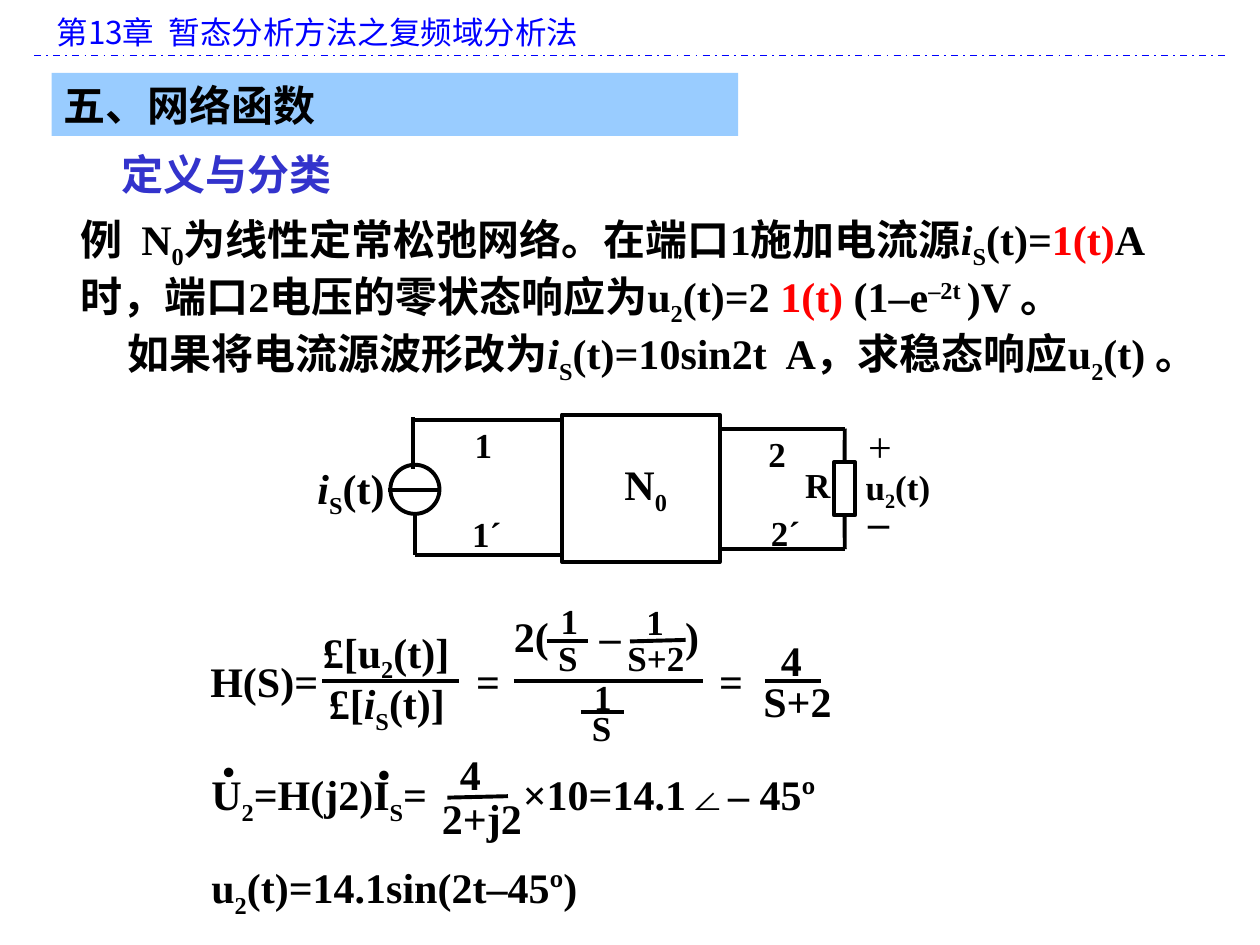
import pptx
import pptx.util
import pptx.dml.color
import pptx.enum.dml
import pptx.enum.shapes
import pptx.enum.text
import pptx.oxml.ns
import lxml.etree

Cm = pptx.util.Cm
Pt = pptx.util.Pt
qn = pptx.oxml.ns.qn
RGB = pptx.dml.color.RGBColor.from_string
SHAPE = pptx.enum.shapes.MSO_SHAPE
C = {"black": "000000", "blue": "0000FF", "indigo": "3333CC",
     "red": "FF0000", "band": "99CCFF"}
TIMES = "Times New Roman"
SANS = "Noto Sans CJK SC"
STYLES = {
    "": {},
    "sub": {"baseline": "-25000"},
    "sup": {"baseline": "30000"},
    "i": {"italic": True},
    "plain": {"bold": False},
    "red": {"color": "red"},
    "topic": {"color": "indigo"},
    "chapter": {"color": "blue", "bold": False, "name": SANS},
}


def write(p, runs, size):
    for text, style in runs:
        fmt = {"name": TIMES, "size": Pt(size), "bold": True, "italic": False,
               "color": "black", "baseline": "0", **STYLES[style]}
        r = p.add_run()
        r.text = text
        r.font.color.rgb = RGB(C[fmt.pop("color")])
        rPr = r._r.get_or_add_rPr()
        rPr.set("baseline", fmt.pop("baseline"))
        for key, value in fmt.items():
            setattr(r.font, key, value)
        lxml.etree.SubElement(rPr, qn("a:ea")).set("typeface", SANS)


def line(x1, y1, x2, y2, color="black", width=2.25):
    c = s.shapes.add_connector(pptx.enum.shapes.MSO_CONNECTOR.STRAIGHT,
                               Cm(x1), Cm(y1), Cm(x2), Cm(y2))
    c.line.color.rgb = RGB(C[color])
    c.line.width = Pt(width)
    lxml.etree.SubElement(c._element.spPr, qn("a:effectLst"))
    return c


prs = pptx.Presentation()
prs.slide_width, prs.slide_height = Cm(25.4), Cm(19.05)
s = prs.slides.add_slide(prs.slide_layouts[6])

rule = line(0.69, 1.12, 24.69, 1.12, "blue", 1)
rule.line.dash_style = pptx.enum.dml.MSO_LINE.DASH_DOT

boxes = {}
for name, kind, x, y, w, h in [
    ("heading", SHAPE.RECTANGLE, 1.04, 1.47, 13.84, 1.27),
    ("network", SHAPE.RECTANGLE, 11.33, 8.36, 3.18, 2.97),
    ("source", SHAPE.OVAL, 7.87, 9.37, 0.99, 0.99),
    ("resistor", SHAPE.RECTANGLE, 16.81, 9.32, 0.43, 1.07),
]:
    sp = s.shapes.add_shape(kind, Cm(x), Cm(y), Cm(w), Cm(h))
    sp.shadow.inherit = False
    sp.fill.background()
    sp.line.color.rgb = RGB(C["black"])
    sp.line.width = Pt(2.25)
    boxes[name] = sp

heading = boxes["heading"]
heading.fill.solid()
heading.fill.fore_color.rgb = RGB(C["band"])
heading.line.fill.background()
p = heading.text_frame.paragraphs[0]
p.alignment = pptx.enum.text.PP_ALIGN.LEFT
write(p, [("五、网络函数", "")], 24)

for x1, y1, x2, y2 in [
    (7.82, 9.88, 8.89, 9.88),
    (8.33, 8.41, 8.33, 9.45),
    (8.36, 11.18, 8.36, 10.34),
    (8.36, 8.46, 11.33, 8.46),
    (8.36, 11.18, 11.33, 11.18),
    (14.5, 8.64, 17.03, 8.64),
    (14.5, 11.07, 17.03, 11.07),
    (6.5, 13.72, 9.25, 13.72),
    (10.36, 13.72, 14.17, 13.72),
    (15.42, 13.72, 16.56, 13.72),
    (11.02, 12.93, 11.86, 12.93),
    (12.7, 12.93, 13.82, 12.9),
    (11.71, 14.35, 12.57, 14.35),
    (9.02, 16.08, 10.24, 16.05),
]:
    line(x1, y1, x2, y2)

for y, end, site in [(8.64, 9.32, 0), (11.07, 10.39, 2)]:
    line(17.03, y, 17.03, end).end_connect(boxes["resistor"], site)

problem = [
    [("例  N", ""), ("0", "sub"), ("为线性定常松弛网络。在端口1施加电流源", ""),
     ("i", "i"), ("S", "sub"), ("(t)=", ""), ("1(t)", "red"), ("A", "")],
    [("时，端口2电压的零状态响应为u", ""), ("2", "sub"), ("(t)=2 ", ""),
     ("1(t)", "red"), (" (1–e", ""), ("–2t ", "sup"), (")V 。", "")],
    [("如果将电流源波形改为", ""), ("i", "i"), ("S", "sub"),
     ("(t)=10sin2t  A，求稳态响应u", ""), ("2", "sub"), ("(t) 。", "")],
]
u2 = [("u", ""), ("2", "sub"), ("(t)", "")]
i_s = [("i", "i"), ("S", "sub"), ("(t)", "")]

for x, y, w, size, paragraphs in [
    (0.89, 0.13, 23.8, 18, [[("第13章  暂态分析方法之复频域分析法", "chapter")]]),
    (2.21, 2.87, 8.08, 24, [[("定义与分类", "topic")]]),
    (1.37, 4.17, 24, 24, problem),
    (17.25, 8.36, 1, 24, [[("+", "plain")]]),
    (17.25, 9.86, 1, 24, [[("–", "")]]),
    (6.15, 9.19, 2.2, 24, [i_s]),
    (12.34, 9.12, 1.6, 24, [[("N", ""), ("0", "sub")]]),
    (15.98, 9.22, 1.02, 20, [[("R", "")]]),
    (17.2, 9.25, 3, 20, [u2]),
    (9.32, 8.41, 1.52, 20, [[("1", "")]]),
    (9.27, 10.21, 1.52, 20, [[("1´", "")]]),
    (15.24, 8.59, 1.52, 20, [[("2", "")]]),
    (15.29, 10.19, 1.52, 20, [[("2´", "")]]),
    (3.99, 13.08, 3, 24, [[("H(S)=", "")]]),
    (9.35, 13.08, 1, 24, [[("=", "")]]),
    (14.25, 13.08, 1, 24, [[("=", "")]]),
    (6.26, 12.5, 4, 24, [[("£[", "")] + u2 + [("]", "")]]),
    (6.38, 13.54, 4, 24, [[("£[", "")] + i_s + [("]", "")]]),
    (10.11, 12.19, 1.5, 24, [[("2(", "")]]),
    (11.84, 12.19, 1, 24, [[("–", "")]]),
    (13.56, 12.19, 1, 24, [[(")", "")]]),
    (11.05, 11.96, 0.95, 20, [[("1", "")]]),
    (11, 12.7, 0.95, 20, [[("S", "")]]),
    (12.78, 11.99, 0.95, 20, [[("1", "")]]),
    (12.4, 12.7, 2.64, 20, [[("S+2", "")]]),
    (11.73, 13.49, 0.95, 20, [[("1", "")]]),
    (11.68, 14.12, 0.95, 20, [[("S", "")]]),
    (15.49, 12.67, 1, 24, [[("4", "")]]),
    (15.14, 13.49, 2.64, 24, [[("S+2", "")]]),
    (4.01, 15.37, 5.5, 24, [[("U", ""), ("2", "sub"), ("=H(j2)I", ""),
                             ("S", "sub"), ("=", "")]]),
    (4.24, 14.99, 0.8, 20, [[("•", "")]]),
    (7.37, 15.04, 0.8, 20, [[("•", "")]]),
    (9.02, 14.96, 1.2, 24, [[("4", "")]]),
    (8.66, 15.85, 3.38, 24, [[("2+j2", "")]]),
    (10.29, 15.37, 8, 24, [[("×10=14.1∠– 45º", "")]]),
    (4.01, 17.25, 10.59, 24, [u2 + [("=14.1sin(2t–45º)", "")]]),
]:
    h = {18: 1.02, 20: 1.09, 24: 1.27}[size] * len(paragraphs)
    tf = s.shapes.add_textbox(Cm(x), Cm(y), Cm(w), Cm(h)).text_frame
    tf.word_wrap = True
    for n, runs in enumerate(paragraphs):
        p = tf.add_paragraph() if n else tf.paragraphs[0]
        if n == 2:
            p._p.get_or_add_pPr().set("indent", str(Cm(0.95)))
        write(p, runs, size)

prs.save("out.pptx")
